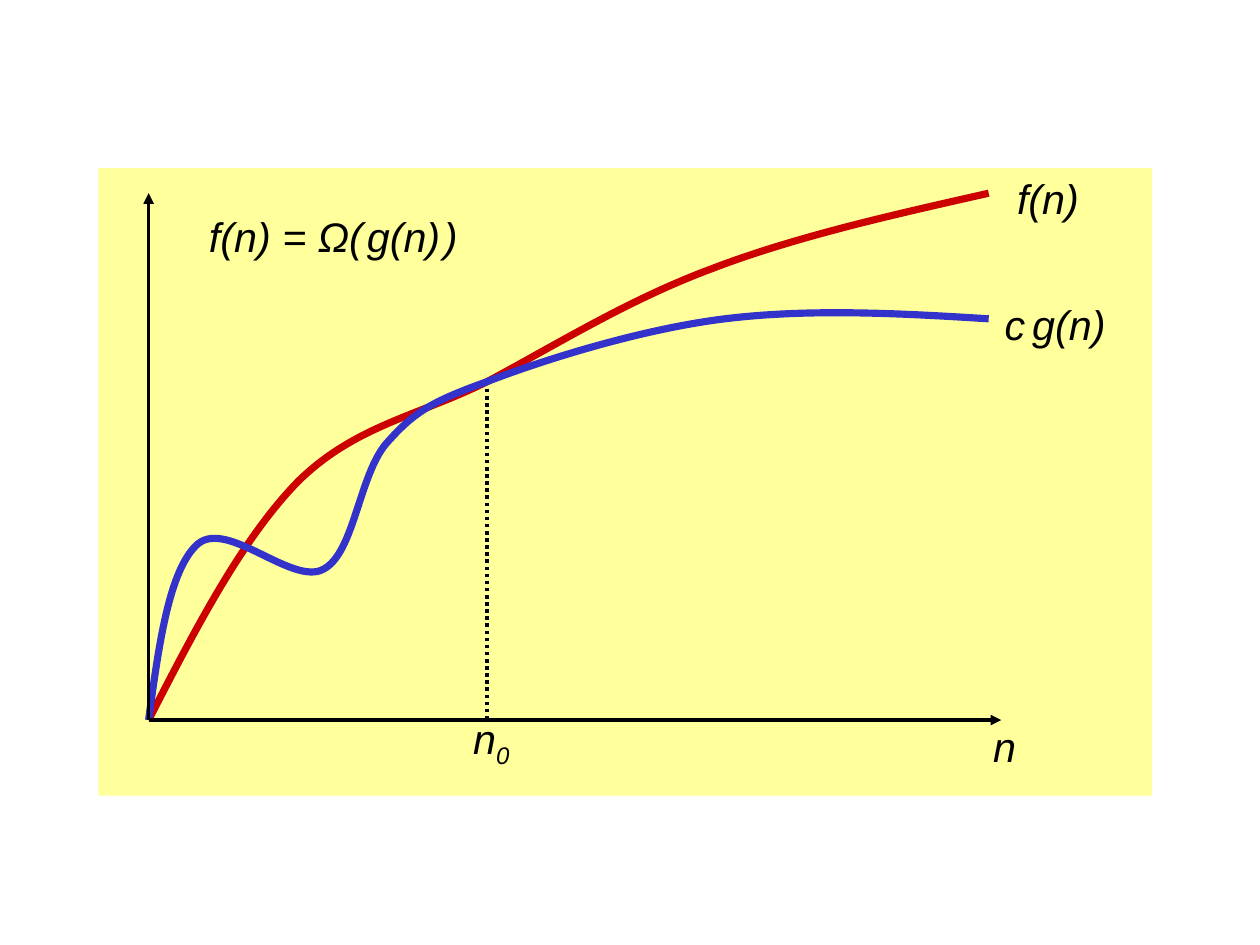
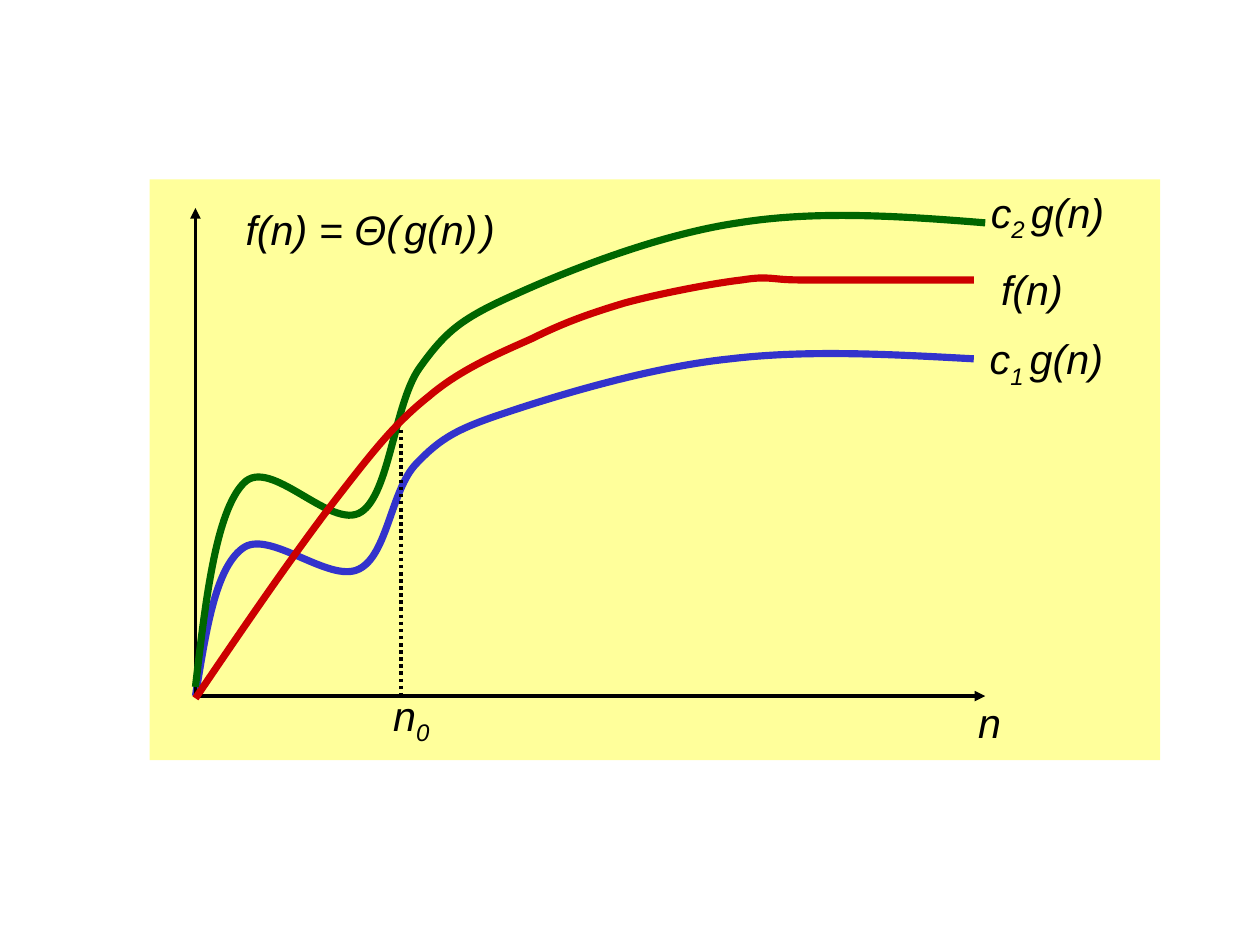
from dataclasses import dataclass

from pptx import Presentation
from pptx import util as u
from pptx.dml.color import RGBColor
from pptx.enum import dml, shapes, text
from pptx.oxml.ns import qn
from lxml import etree

BLACK = RGBColor(0x00, 0x00, 0x00)
CREAM = RGBColor(0xFF, 0xFF, 0x9B)
RED = RGBColor(0xCC, 0x00, 0x00)
BLUE = RGBColor(0x33, 0x33, 0xCC)
GREEN = RGBColor(0x00, 0x66, 0x00)
FONT = "Arial"
SIZE = 26
GRID = 2.54

Point = tuple[float, float]


@dataclass(frozen=True)
class Panel:
    left: float
    top: float
    width: float
    height: float


@dataclass(frozen=True)
class Curve:
    color: RGBColor
    points: tuple[Point, ...]


@dataclass(frozen=True)
class Line:
    start: Point
    end: Point
    dotted: bool = False


@dataclass(frozen=True)
class Run:
    text: str
    size: int = SIZE
    sub: bool = False


@dataclass(frozen=True)
class Label:
    left: float
    top: float
    width: float
    height: float
    runs: tuple[Run, ...]


Part = Panel | Curve | Line | Label


def cm(units: float) -> u.Cm:
    return u.Cm(units * GRID)


def title(left: float, top: float, sign: str) -> Label:
    gap = Run(" ", 8)
    runs = (Run(f"f(n) = {sign}("), gap, Run("g(n)"), gap, Run(")"))
    return Label(left, top, 2.6, 0.53, runs)


def bound(left: float, top: float, index: str) -> Label:
    runs = (Run("c"), Run(index, sub=True), Run(" ", 14), Run("g(n)"))
    return Label(left, top, 1.43, 0.59, runs)


def plain(left: float, top: float, width: float, word: str) -> Label:
    return Label(left, top, width, 0.53, (Run(word),))


def limit(left: float, top: float) -> Label:
    return Label(left, top, 0.75, 0.59, (Run("n"), Run("0", sub=True)))


def axes(zero: Point, top: float, right: float) -> tuple[Line, Line]:
    return Line(zero, (zero[0], top)), Line(zero, (right, zero[1]))


OMEGA: tuple[Part, ...] = (
    Panel(0.86, 1.47, 9.22, 5.49),
    Curve(RED, (
        (1.3, 6.3), (1.71, 5.5), (2.12, 4.71), (2.61, 4.21),
        (3.11, 3.72), (3.66, 3.64), (4.26, 3.34),
        (4.86, 3.02), (5.5, 2.62), (6.23, 2.35),
        (6.96, 2.07), (7.81, 1.88), (8.65, 1.69),
    )),
    Line((4.26, 3.34), (4.26, 6.3), dotted=True),
    Curve(BLUE, (
        (1.3, 6.3), (1.39, 5.64), (1.48, 4.98), (1.73, 4.76),
        (1.99, 4.54), (2.56, 5.13), (2.83, 4.98),
        (3.1, 4.84), (3.14, 4.16), (3.38, 3.88),
        (3.62, 3.61), (3.76, 3.52), (4.26, 3.34),
        (4.75, 3.15), (5.61, 2.88), (6.34, 2.79),
        (7.07, 2.7), (7.86, 2.74), (8.65, 2.79),
    )),
    limit(4.04, 6.19),
    plain(8.59, 6.26, 0.63, "n"),
    title(1.73, 1.8, "Ω"),
    plain(8.8, 1.47, 0.97, "f(n)"),
    Label(8.69, 2.57, 1.32, 0.53, (Run("c"), Run(" ", 16), Run("g(n)"))),
    *axes((1.3, 6.3), 1.69, 8.76),
)

THETA: tuple[Part, ...] = (
    Panel(1.31, 1.57, 8.84, 5.08),
    Curve(BLUE, (
        (1.71, 6.09), (1.8, 5.54), (1.88, 4.98), (2.12, 4.8),
        (2.35, 4.62), (2.88, 5.11), (3.14, 4.98),
        (3.39, 4.86), (3.42, 4.29), (3.64, 4.06),
        (3.86, 3.83), (4, 3.75), (4.46, 3.6),
        (4.91, 3.45), (5.71, 3.21), (6.39, 3.14),
        (7.06, 3.06), (7.79, 3.1), (8.52, 3.14),
    )),
    limit(3.34, 5.99),
    plain(8.46, 6.05, 0.63, "n"),
    title(2.05, 1.74, "Θ"),
    plain(8.66, 2.26, 0.97, "f(n)"),
    bound(8.56, 2.87, "1"),
    *axes((1.71, 6.09), 1.82, 8.62),
    Curve(GREEN, (
        (1.71, 6.01), (1.8, 5.24), (1.89, 4.48), (2.13, 4.23),
        (2.36, 3.98), (2.9, 4.65), (3.16, 4.48),
        (3.41, 4.32), (3.45, 3.53), (3.67, 3.22),
        (3.9, 2.9), (4.03, 2.79), (4.5, 2.58),
        (4.96, 2.37), (5.77, 2.05), (6.46, 1.95),
        (7.14, 1.84), (7.88, 1.89), (8.62, 1.95),
    )),
    Curve(RED, (
        (1.71, 6.11), (2.15, 5.46), (2.59, 4.82), (2.93, 4.38),
        (3.27, 3.94), (3.46, 3.7), (3.75, 3.47),
        (4.03, 3.23), (4.37, 3.09), (4.66, 2.96),
        (4.94, 2.82), (5.17, 2.74), (5.47, 2.65),
        (5.77, 2.57), (6.23, 2.48), (6.49, 2.45),
        (6.74, 2.41), (6.74, 2.45), (7, 2.45),
        (7.25, 2.45), (7.76, 2.45), (8.01, 2.45),
        (8.27, 2.45), (8.43, 2.45), (8.52, 2.45),
    )),
    bound(8.57, 1.59, "2"),
    Line((3.51, 3.76), (3.51, 6.09), dotted=True),
)


def draw_panel(group, panel: Panel) -> None:
    shape = group.shapes.add_shape(
        shapes.MSO_SHAPE.RECTANGLE, cm(panel.left), cm(panel.top),
        cm(panel.width), cm(panel.height))
    shape.shadow.inherit = False
    shape.fill.solid()
    shape.fill.fore_color.rgb = CREAM
    shape.line.fill.background()


def bend(shape) -> None:
    legs = list(shape._element.iter(qn("a:lnTo")))
    for i in range(0, len(legs), 3):
        arc = etree.Element(qn("a:cubicBezTo"))
        legs[i].addprevious(arc)
        for leg in legs[i:i + 3]:
            arc.append(leg[0])
            leg.getparent().remove(leg)


def draw_curve(group, curve: Curve) -> None:
    first, *rest = [(cm(x), cm(y)) for x, y in curve.points]
    pen = group.shapes.build_freeform(*first)
    pen.add_line_segments(rest, close=False)
    shape = pen.convert_to_shape()
    bend(shape)
    shape.shadow.inherit = False
    shape.fill.background()
    shape.line.color.rgb = curve.color
    shape.line.width = u.Pt(4.5)


def draw_line(group, line: Line) -> None:
    shape = group.shapes.add_connector(
        shapes.MSO_CONNECTOR.STRAIGHT,
        *(cm(n) for n in line.start + line.end))
    shape.line.color.rgb = BLACK
    shape.line.width = u.Pt(2.25)
    if line.dotted:
        shape.line.dash_style = dml.MSO_LINE.ROUND_DOT
    else:
        tail = etree.SubElement(shape.line._get_or_add_ln(), qn("a:tailEnd"))
        tail.set("type", "triangle")
    etree.SubElement(shape._element.spPr, qn("a:effectLst"))


def draw_label(group, label: Label) -> None:
    box = group.shapes.add_textbox(
        cm(label.left), cm(label.top), cm(label.width), cm(label.height))
    frame = box.text_frame
    frame.word_wrap = False
    frame.auto_size = text.MSO_AUTO_SIZE.SHAPE_TO_FIT_TEXT
    para = frame.paragraphs[0]
    props = para._p.get_or_add_pPr()
    props.set("marL", str(cm(0.24)))
    props.set("indent", str(-cm(0.24)))
    for item in label.runs:
        run = para.add_run()
        run.text = item.text
        run.font.name = FONT
        run.font.size = u.Pt(item.size)
        run.font.italic = True
        run.font.color.rgb = BLACK
        if item.sub:
            run.font._element.set("baseline", "-25000")


DRAW = {Panel: draw_panel, Curve: draw_curve,
        Line: draw_line, Label: draw_label}


def main() -> None:
    deck = Presentation()
    deck.slide_width = u.Cm(28)
    deck.slide_height = u.Cm(21)
    for parts in (OMEGA, THETA):
        slide = deck.slides.add_slide(deck.slide_layouts[6])
        group = slide.shapes.add_group_shape()
        for part in parts:
            DRAW[type(part)](group, part)
    deck.save("out.pptx")


if __name__ == "__main__":
    main()
